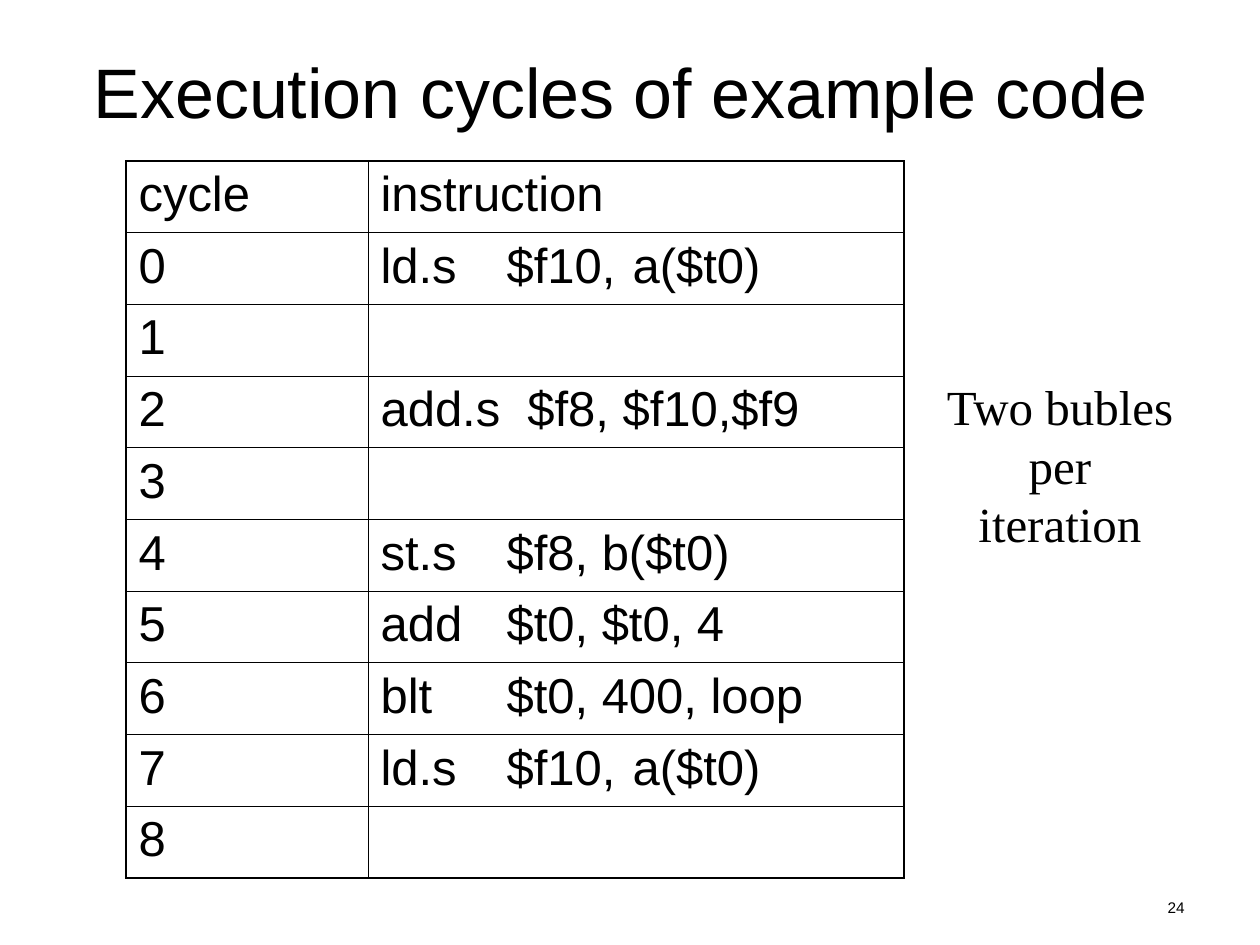
from lxml import etree
from pptx import Presentation
from pptx.dml.color import RGBColor
from pptx.enum.text import MSO_ANCHOR, PP_ALIGN
from pptx.oxml.ns import qn
from pptx.util import Pt

LEFT, CENTER, RIGHT = PP_ALIGN.LEFT, PP_ALIGN.CENTER, PP_ALIGN.RIGHT
TOP, MIDDLE = MSO_ANCHOR.TOP, MSO_ANCHOR.MIDDLE
BLACK = RGBColor(0, 0, 0)
WHITE = RGBColor(255, 255, 255)
SANS, SERIF = "Arial", "Times New Roman"
PIXELS_PER_INCH = 126
OUTER_LINE, INNER_LINE = 1.08, 0.45
COLUMN_WIDTHS = (242, 536)
ROWS = (
    ("cycle", "instruction"),
    ("0", "ld.s\t$f10,\ta($t0)"),
    ("1", ""),
    ("2", "add.s  $f8, $f10,$f9"),
    ("3", ""),
    ("4", "st.s\t$f8, b($t0)"),
    ("5", "add\t$t0, $t0, 4"),
    ("6", "blt\t$t0, 400, loop"),
    ("7", "ld.s\t$f10,\ta($t0)"),
    ("8", ""),
)


def px(length):
    """Turn pixels into EMU."""
    return round(length * 914400 / PIXELS_PER_INCH)


def add_tab_stops(paragraph, count):
    """Set left tab stops one inch apart."""
    tab_list = etree.SubElement(paragraph._p.get_or_add_pPr(), qn("a:tabLst"))
    for number in range(1, count + 1):
        etree.SubElement(tab_list, qn("a:tab"), pos=str(px(number * PIXELS_PER_INCH)), algn="l")


def write_text(frame, text, size=28, font=SANS, align=LEFT, anchor=TOP, wrap=True):
    """Fill a text frame with one paragraph per line of text."""
    frame.word_wrap = wrap
    frame.vertical_anchor = anchor
    for index, line in enumerate(text.split("\n")):
        paragraph = frame.add_paragraph() if index else frame.paragraphs[0]
        paragraph.alignment = align
        if "\t" in line:
            add_tab_stops(paragraph, line.count("\t"))
        run = paragraph.add_run()
        run.text = line
        run.font.size = Pt(size)
        run.font.name = font
        run.font.color.rgb = BLACK


def add_text(slide, text, left, top, width, height, **text_format):
    """Add a text box."""
    shape = slide.shapes.add_textbox(px(left), px(top), px(width), px(height))
    write_text(shape.text_frame, text, **text_format)


def set_borders(cell, outer_sides):
    """Draw all four cell borders, heavier on the outer sides."""
    properties = cell._tc.get_or_add_tcPr()
    for side in "LRTB":
        width = OUTER_LINE if side in outer_sides else INNER_LINE
        line = etree.SubElement(properties, qn(f"a:ln{side}"), w=str(Pt(width)))
        fill = etree.SubElement(line, qn("a:solidFill"))
        etree.SubElement(fill, qn("a:srgbClr"), val=str(BLACK))


def add_cycle_table(slide, left, top, height):
    """Add the table of cycles and instructions."""
    frame = slide.shapes.add_table(
        len(ROWS), len(COLUMN_WIDTHS), px(left), px(top), px(sum(COLUMN_WIDTHS)), px(height))
    table = frame.table
    table.first_row = table.horz_banding = False
    for column, width in zip(table.columns, COLUMN_WIDTHS):
        column.width = px(width)
    for row, texts in enumerate(ROWS):
        for column, text in enumerate(texts):
            cell = table.cell(row, column)
            outer_sides = "LR"[column]
            if row == 0:
                outer_sides += "T"
            if row == len(ROWS) - 1:
                outer_sides += "B"
            set_borders(cell, outer_sides)
            cell.fill.background()
            if text:
                write_text(cell.text_frame, text)


def main():
    """Build and save the slide."""
    presentation = Presentation()
    presentation.slide_width, presentation.slide_height = px(1260), px(945)
    slide = presentation.slides.add_slide(presentation.slide_layouts[6])
    slide.background.fill.solid()
    slide.background.fill.fore_color.rgb = WHITE
    add_text(slide, "24", 903, 892, 294, 34, size=8.8, align=RIGHT)
    add_text(slide, "Execution cycles of example code ", 63, 38, 1134, 105,
             size=40, align=CENTER, anchor=MIDDLE)
    add_cycle_table(slide, 126, 161, 717)
    add_text(slide, "Two bubles\nper iteration", 929, 370, 262, 131,
             font=SERIF, align=CENTER, wrap=False)
    presentation.save("out.pptx")


if __name__ == "__main__":
    main()
